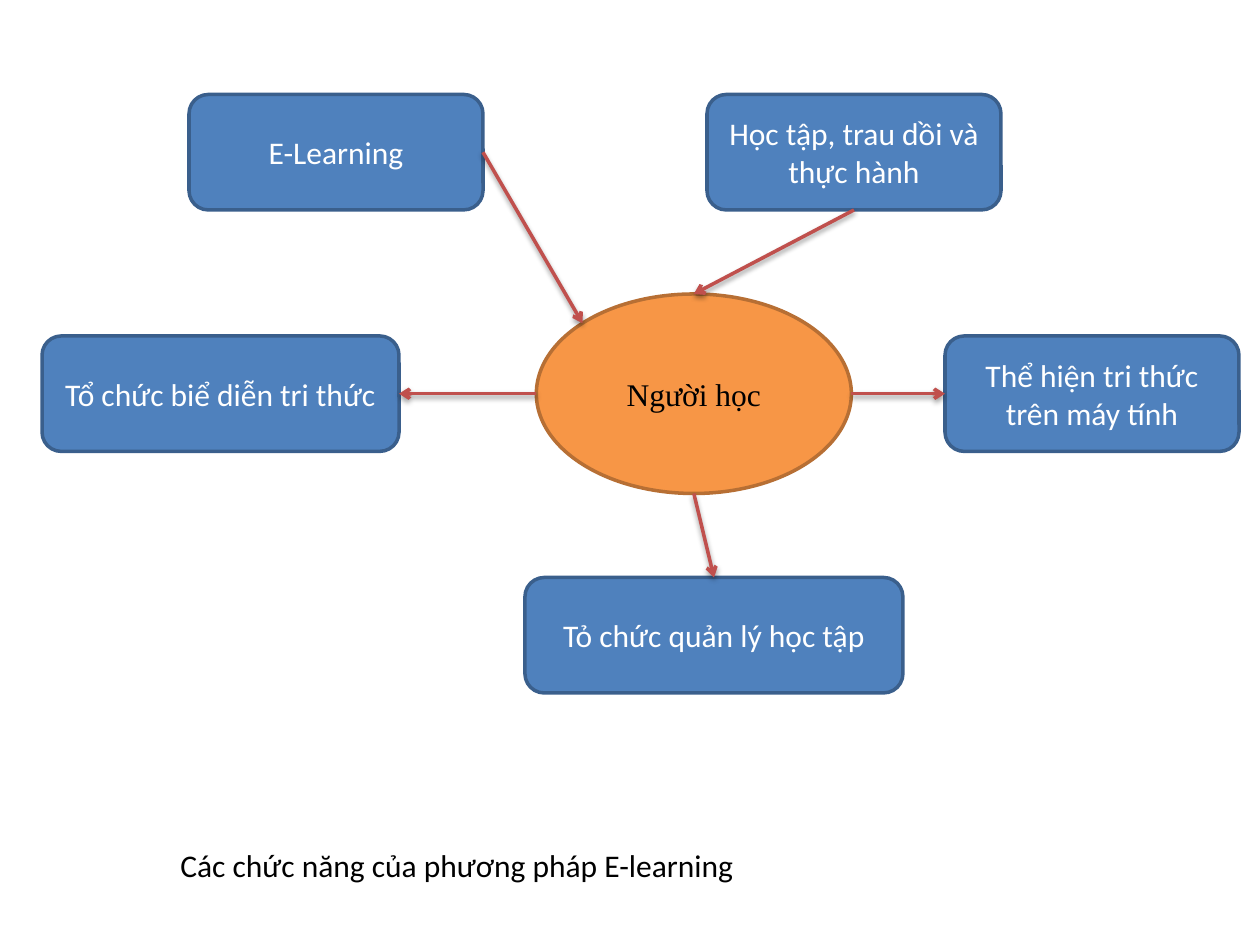
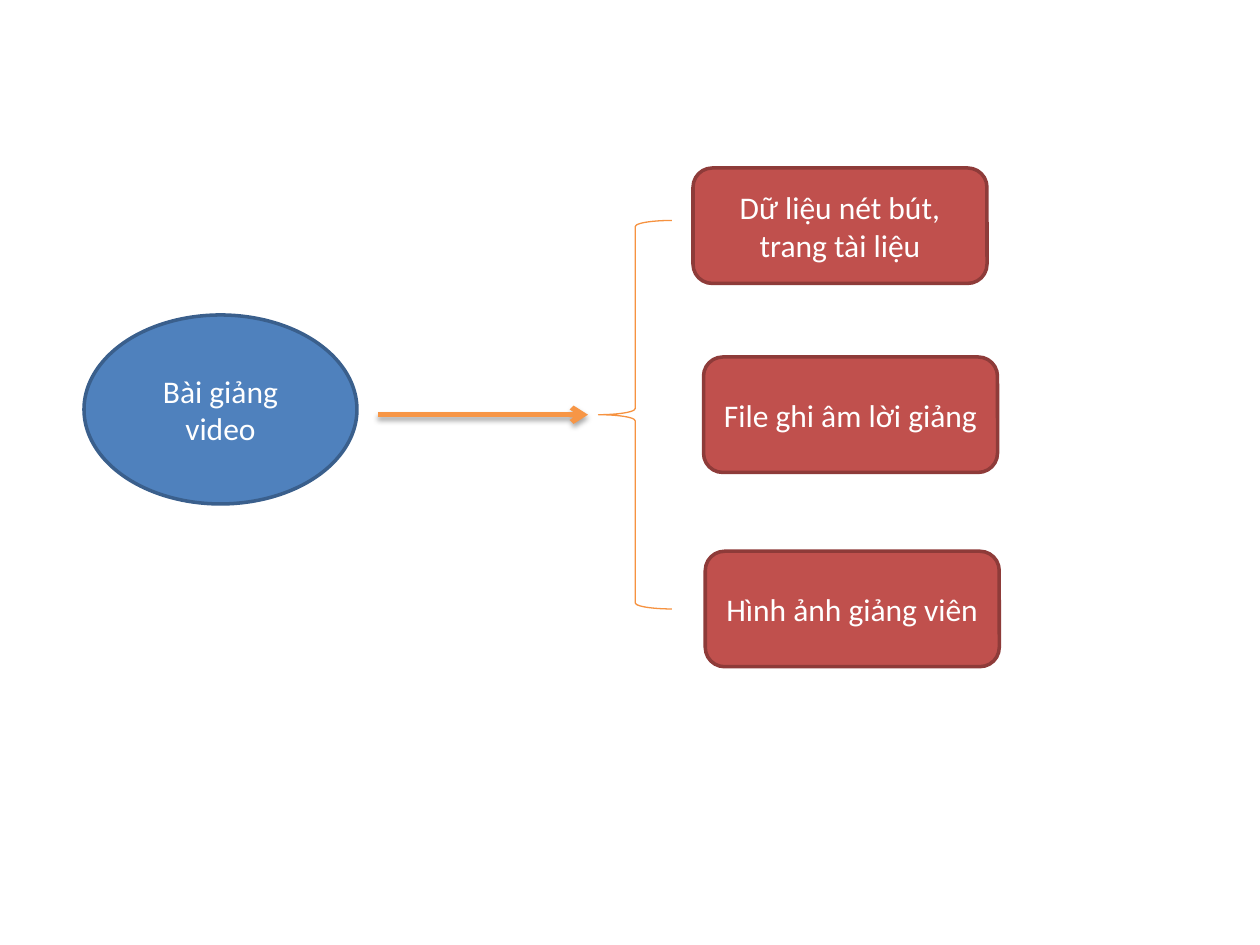
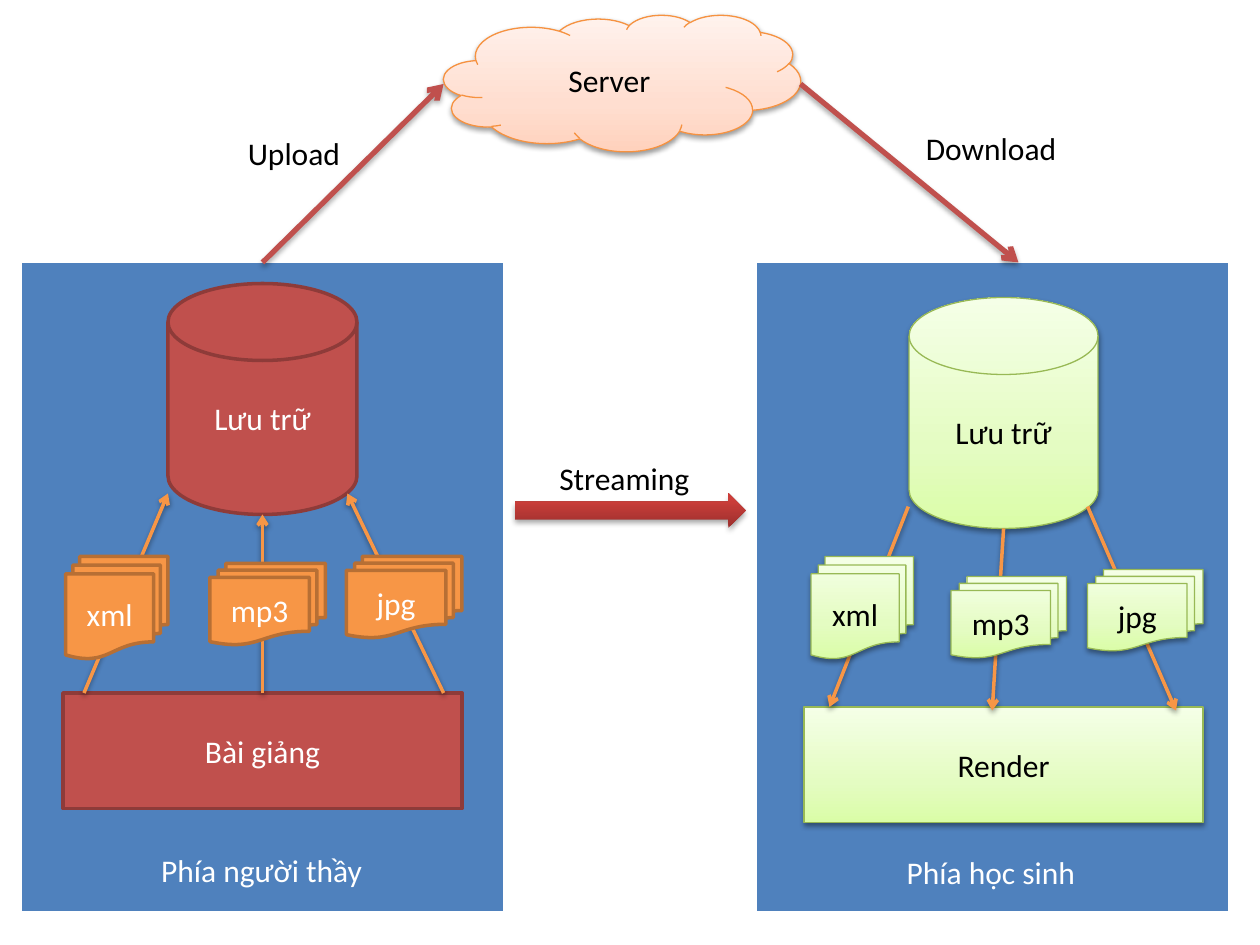
from collections import namedtuple

from lxml.etree import SubElement
from pptx import Presentation
from pptx.dml.color import RGBColor
from pptx.enum.shapes import MSO_CONNECTOR, MSO_SHAPE
from pptx.enum.text import MSO_ANCHOR, MSO_AUTO_SIZE, PP_ALIGN
from pptx.oxml.ns import qn
from pptx.util import Pt

BLACK = RGBColor(0x00, 0x00, 0x00)
WHITE = RGBColor(0xFF, 0xFF, 0xFF)
BLUE = RGBColor(0x4F, 0x81, 0xBD)
DARK_BLUE = RGBColor(0x3A, 0x5F, 0x8C)
RED = RGBColor(0xC0, 0x50, 0x4D)
DARK_RED = RGBColor(0x8E, 0x3B, 0x39)
ORANGE = RGBColor(0xF7, 0x96, 0x46)
DARK_ORANGE = RGBColor(0xB7, 0x6F, 0x34)
BRIGHT_ORANGE = RGBColor(0xF6, 0x92, 0x40)
LEAF = RGBColor(0x98, 0xB9, 0x55)

PEACH_FADE = [(0, RGBColor(0xFF, 0xD2, 0xBD)), (35, RGBColor(0xFF, 0xDE, 0xD0)),
              (100, RGBColor(0xFF, 0xF2, 0xED))]
LIME_FADE = [(0, RGBColor(0xDA, 0xFD, 0xA7)), (35, RGBColor(0xE4, 0xFC, 0xC2)),
             (100, RGBColor(0xF5, 0xFF, 0xE7))]
RED_FADE = [(0, RGBColor(0x9C, 0x2F, 0x2D)), (80, RGBColor(0xCB, 0x3E, 0x3A)),
            (100, RGBColor(0xCE, 0x3B, 0x37))]

Shadow = namedtuple("Shadow", "alpha distance")
SOFT = Shadow(38, 1.6)
DEEP = Shadow(35, 1.8)

Look = namedtuple("Look", "fill edge width color shadow")
BLUE_LOOK = Look(BLUE, DARK_BLUE, 2, WHITE, None)
RED_LOOK = Look(RED, DARK_RED, 2, WHITE, None)
ORANGE_LOOK = Look(ORANGE, DARK_ORANGE, 2, WHITE, None)
LEARNER_LOOK = ORANGE_LOOK._replace(color=BLACK)
LIME_LOOK = Look(LIME_FADE, LEAF, 0.75, BLACK, SOFT)
CLOUD_LOOK = Look(PEACH_FADE, BRIGHT_ORANGE, 0.75, BLACK, SOFT)
STREAM_LOOK = Look(RED_FADE, None, 0, BLACK, DEEP)
BRACE_LOOK = Look(None, BRIGHT_ORANGE, 0.75, BLACK, None)


def write(tf, text, font="Calibri", size=18, color=BLACK, align=PP_ALIGN.LEFT):
    p = tf.paragraphs[0]
    p.alignment = align
    r = p.add_run()
    r.text = text
    r.font.name = font
    r.font.size = Pt(size)
    r.font.color.rgb = color


def add_color(parent, color, alpha=None):
    clr = SubElement(parent, qn("a:srgbClr"), val=str(color))
    if alpha is not None:
        SubElement(clr, qn("a:alpha"), val=str(alpha * 1000))


def paint(s, fill):
    if fill is None:
        s.fill.background()
    elif isinstance(fill, RGBColor):
        s.fill.solid()
        s.fill.fore_color.rgb = fill
    else:
        s.fill.gradient()
        s.fill.gradient_angle = 90
        stops = s._element.spPr.find(qn("a:gradFill")).find(qn("a:gsLst"))
        for old in list(stops):
            stops.remove(old)
        for pos, color in fill:
            add_color(SubElement(stops, qn("a:gs"), pos=str(pos * 1000)), color)


def set_shadow(s, shadow):
    effects = SubElement(s._element.spPr, qn("a:effectLst"))
    if shadow:
        outer = SubElement(effects, qn("a:outerShdw"), blurRad=str(Pt(3.1)),
                           dist=str(Pt(shadow.distance)), dir="5400000", rotWithShape="0")
        add_color(outer, BLACK, shadow.alpha)


class Deck:
    def __init__(self):
        self.prs = Presentation()
        self.prs.slide_width = Pt(720)
        self.prs.slide_height = Pt(540)
        self.slide = None

    def new_slide(self):
        self.slide = self.prs.slides.add_slide(self.prs.slide_layouts[6])

    def shape(self, kind, x, y, w, h, look, text="", font="Calibri"):
        s = self.slide.shapes.add_shape(kind, Pt(x), Pt(y), Pt(w), Pt(h))
        paint(s, look.fill)
        if look.edge is None:
            s.line.fill.background()
        else:
            s.line.color.rgb = look.edge
            s.line.width = Pt(look.width)
        set_shadow(s, look.shadow)
        if text:
            tf = s.text_frame
            tf.word_wrap = True
            tf.vertical_anchor = MSO_ANCHOR.MIDDLE
            write(tf, text, font=font, color=look.color, align=PP_ALIGN.CENTER)

    def box(self, x, y, w, look, text):
        self.shape(MSO_SHAPE.ROUNDED_RECTANGLE, x, y, w, 66, look, text)

    def arrow(self, x1, y1, x2, y2, color, width=2, shadow=SOFT):
        s = self.slide.shapes.add_connector(MSO_CONNECTOR.STRAIGHT,
                                            Pt(x1), Pt(y1), Pt(x2), Pt(y2))
        s.line.color.rgb = color
        s.line.width = Pt(width)
        SubElement(s.line._get_or_add_ln(), qn("a:tailEnd"), type="arrow")
        set_shadow(s, shadow)

    def label(self, x, y, w, text, color=BLACK):
        s = self.slide.shapes.add_textbox(Pt(x), Pt(y), Pt(w), Pt(29))
        tf = s.text_frame
        tf.word_wrap = False
        tf.auto_size = MSO_AUTO_SIZE.SHAPE_TO_FIT_TEXT
        write(tf, text, color=color)

    def panel(self, x, y, w, h):
        s = self.slide.shapes.add_table(1, 1, Pt(x), Pt(y), Pt(w), Pt(h))
        s.table.first_row = False
        s.table.horz_banding = False
        cell = s.table.cell(0, 0)
        tc_pr = cell._tc.get_or_add_tcPr()
        for side, width in (("L", 1), ("R", 1), ("T", 1), ("B", 3)):
            ln = SubElement(tc_pr, qn("a:ln" + side), w=str(Pt(width)))
            add_color(SubElement(ln, qn("a:solidFill")), WHITE)
        cell.fill.solid()
        cell.fill.fore_color.rgb = BLUE

    def storage(self, x, y, look, doc_look, base, arrows, docs):
        self.shape(MSO_SHAPE.RECTANGLE, x, y + 234, 228, 66, look, base)
        self.shape(MSO_SHAPE.FLOWCHART_MAGNETIC_DISK, x + 60, y, 108, 132, look, "Lưu trữ")
        for ends in arrows:
            self.arrow(*ends, ORANGE)
        for text, (left, top, w, h) in docs.items():
            self.shape(MSO_SHAPE.FLOWCHART_MULTIDOCUMENT, left, top, w, h, doc_look, text)


def functions_slide(deck):
    deck.new_slide()
    deck.shape(MSO_SHAPE.OVAL, 306.5, 168, 180, 114, LEARNER_LOOK, "Người học",
               font="Times New Roman")
    for x, y, w, text in [(108, 54, 168, "E-Learning"),
                          (24, 192, 204, "Tổ chức biể diễn tri thức"),
                          (300, 330, 216, "Tỏ chức quản lý học tập"),
                          (540, 192, 168, "Thể hiện tri thức trên máy tính"),
                          (404, 54, 168, "Học tập, trau dồi và thực hành")]:
        deck.box(x, y, w, BLUE_LOOK, text)
    for ends in [(276, 87, 332.86, 184.7), (488, 120, 396.5, 168), (306.5, 225, 228, 225),
                 (486.5, 225, 540, 225), (396.5, 282, 408, 330)]:
        deck.arrow(*ends, RED)
    deck.label(96, 480, 335, "Các chức năng của phương pháp E-learning")


def lecture_slide(deck):
    deck.new_slide()
    deck.shape(MSO_SHAPE.OVAL, 48, 180, 156, 108, BLUE_LOOK, "Bài giảng video")
    deck.shape(MSO_SHAPE.LEFT_BRACE, 342, 126, 42, 222, BRACE_LOOK)
    for x, y, text in [(396, 96, "Dữ liệu nét bút, trang tài liệu"),
                       (402, 204, "File ghi âm lời giảng"),
                       (403, 315, "Hình ảnh giảng viên")]:
        deck.box(x, y, 168, RED_LOOK, text)
    deck.arrow(216, 237, 336, 237, ORANGE, 3, DEEP)


def streaming_slide(deck):
    deck.new_slide()
    deck.panel(12, 150, 276, 372)
    deck.panel(432, 150, 270, 372)
    deck.shape(MSO_SHAPE.CLOUD, 253.5, 8.5, 204, 78, CLOUD_LOOK, "Server")
    deck.storage(36, 162, RED_LOOK, ORANGE_LOOK, "Bài giảng",
                 [(48, 396, 96, 282), (150, 396, 150, 294), (253.5, 396, 198.5, 282)],
                 {"xml": (37.5, 318, 58.5, 58.5), "mp3": (120, 322, 66, 46.5),
                  "jpg": (198, 318, 66, 46.5)})
    deck.arrow(150, 150, 253.5, 48, RED, 3, DEEP)
    deck.arrow(457.5, 48, 582, 150, RED, 3, DEEP)
    deck.storage(459.5, 170, LIME_LOOK, LIME_LOOK, "Render",
                 [(519, 289.5, 474, 404), (573.5, 302, 567, 406), (621.5, 289.5, 672, 406)],
                 {"xml": (463.5, 318, 58.5, 58.5), "mp3": (543.5, 329.5, 66, 46.5),
                  "jpg": (621.5, 325.5, 66, 46.5)})
    deck.shape(MSO_SHAPE.RIGHT_ARROW, 294, 282, 132, 19.5, STREAM_LOOK)
    deck.label(134.5, 73, 67.5, "Upload")
    deck.label(522, 70, 90, "Download")
    deck.label(312.5, 259, 90, "Streaming")
    deck.label(85, 483, 131, "Phía người thầy", WHITE)
    deck.label(511, 484, 112, "Phía học sinh", WHITE)


deck = Deck()
functions_slide(deck)
lecture_slide(deck)
streaming_slide(deck)
deck.prs.save("out.pptx")
